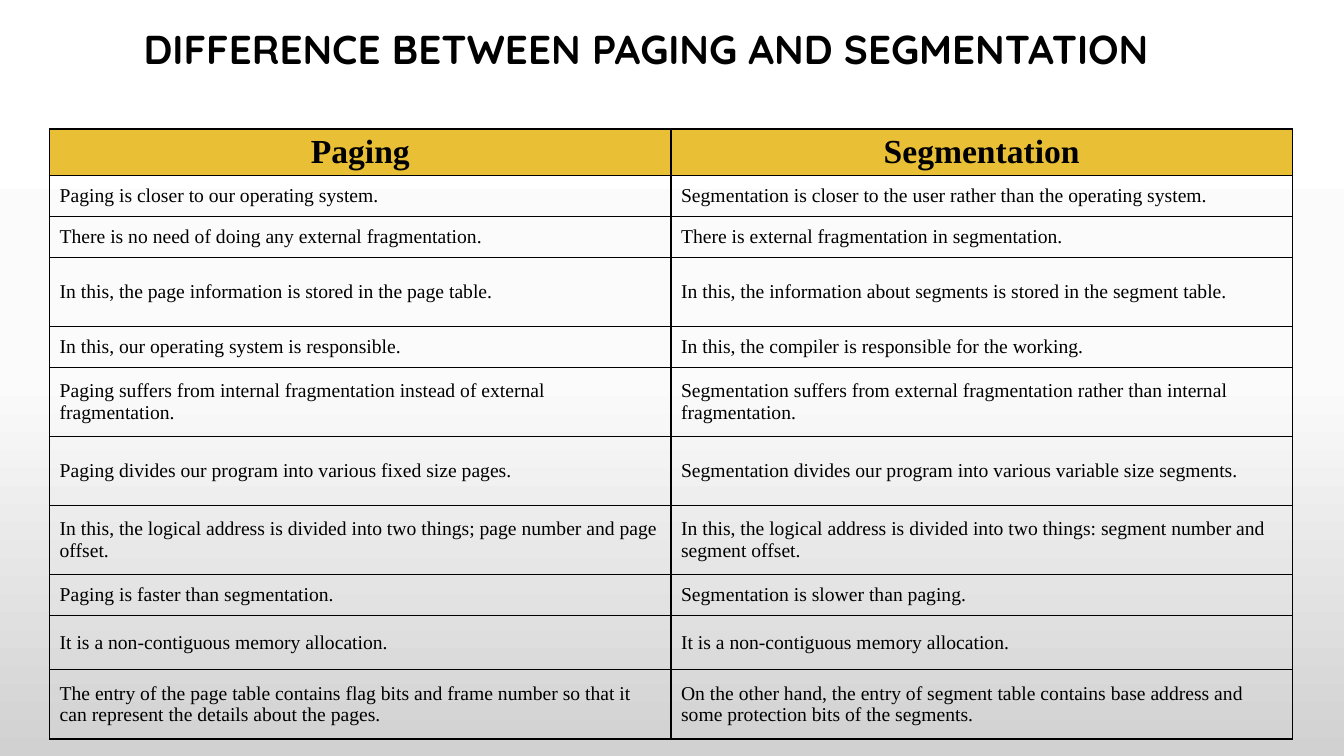
import copy

import pptx
import pptx.dml.color
import pptx.enum.text
import pptx.oxml
import pptx.oxml.ns
import pptx.util

Cm = pptx.util.Cm
Pt = pptx.util.Pt
qn = pptx.oxml.ns.qn
ALIGN = pptx.enum.text.PP_ALIGN
ANCHOR = pptx.enum.text.MSO_ANCHOR

COLORS = {"ink": "000000", "head": "E9BF35",
          "top": "FFFFFF", "mid": "FBFBFB", "end": "D1D1D1"}
SERIF = "Times New Roman"

TITLE = "DIFFERENCE BETWEEN PAGING AND SEGMENTATION"
# Row height in cm, then the two cells
ROWS = [
    (1.18, "Paging", "Segmentation"),
    (1.03, "Paging is closer to our operating system.",
     "Segmentation is closer to the user rather than the operating system."),
    (1.03, "There is no need of doing any external fragmentation.",
     "There is external fragmentation in segmentation."),
    (1.74, "In this, the page information is stored in the page table.",
     "In this, the information about segments is stored in the segment table."),
    (1.03, "In this, our operating system is responsible.",
     "In this, the compiler is responsible for the working."),
    (1.74, "Paging suffers from internal fragmentation instead of external fragmentation.",
     "Segmentation suffers from external fragmentation rather than internal fragmentation."),
    (1.74, "Paging divides our program into various fixed size pages.",
     "Segmentation divides our program into various variable size segments."),
    (1.74, "In this, the logical address is divided into two things; page number and page offset.",
     "In this, the logical address is divided into two things: segment number and segment offset."),
    (1.03, "Paging is faster than segmentation.", "Segmentation is slower than paging."),
    (1.37, "It is a non-contiguous memory allocation.",
     "It is a non-contiguous memory allocation."),
    (1.74, "The entry of the page table contains flag bits and frame number so that it can "
     "represent the details about the pages.",
     "On the other hand, the entry of segment table contains base address and some "
     "protection bits of the segments."),
]


def color(name):
    return pptx.dml.color.RGBColor.from_string(COLORS[name])


def style(font, name, size, bold):
    font.name = name
    font.size = Pt(size)
    font.bold = bold
    font.color.rgb = color("ink")


def paint(slide):
    """Shade the background from white down to grey."""
    fill = slide.background.fill
    fill.gradient()
    fill.gradient_angle = 270
    stops = next(slide.element.iter(qn("a:gsLst")))
    stops.insert(1, copy.deepcopy(stops[0]))
    for stop, name, place in zip(fill.gradient_stops, ("top", "mid", "end"), (0, 0.5, 1)):
        stop.color.rgb = color(name)
        stop.position = place


def head(slide, left, top, width, height):
    """Place the slide title."""
    title = slide.shapes.title
    title.left, title.top, title.width, title.height = left, top, width, height
    frame = title.text_frame
    frame.text = TITLE
    frame.word_wrap = True
    frame.vertical_anchor = ANCHOR.TOP
    para = frame.paragraphs[0]
    para.alignment = ALIGN.CENTER
    para.line_spacing = 0.9
    style(para.runs[0].font, "Quicksand", 28.8, True)


def border(cell):
    """Rule all four sides of a cell."""
    props = cell._tc.get_or_add_tcPr()
    for spot, side in enumerate(("lnL", "lnR", "lnT", "lnB")):
        props.insert(spot, pptx.oxml.parse_xml(
            f'<a:{side} {pptx.oxml.ns.nsdecls("a")} w="{Pt(1)}"><a:solidFill>'
            f'<a:srgbClr val="{COLORS["ink"]}"/></a:solidFill></a:{side}>'))


def fill_cell(cell, text, first):
    cell.text_frame.text = text
    cell.vertical_anchor = ANCHOR.MIDDLE
    cell.margin_top = cell.margin_bottom = Cm(0.1)
    if first:
        cell.fill.solid()
        cell.fill.fore_color.rgb = color("head")
    else:
        cell.fill.background()
    border(cell)
    para = cell.text_frame.paragraphs[0]
    para.alignment = ALIGN.CENTER if first else ALIGN.LEFT
    style(para.runs[0].font, SERIF, 24 if first else 14, first)


def grid(slide, left, top, width):
    """Place the comparison table."""
    high = Cm(sum(row[0] for row in ROWS))
    table = slide.shapes.add_table(len(ROWS), 2, left, top, width, high).table
    table.first_row = table.horz_banding = False
    for r, (tall, *texts) in enumerate(ROWS):
        table.rows[r].height = Cm(tall)
        for c, text in enumerate(texts):
            fill_cell(table.cell(r, c), text, r == 0)


def main():
    deck = pptx.Presentation()
    deck.slide_width, deck.slide_height = Cm(33.87), Cm(19.05)
    slide = deck.slides.add_slide(deck.slide_layouts[5])
    paint(slide)
    head(slide, Cm(2.31), Cm(0.61), Cm(27.94), Cm(2.41))
    grid(slide, Cm(1.25), Cm(3.25), Cm(31.32))
    deck.save("out.pptx")


if __name__ == "__main__":
    main()
